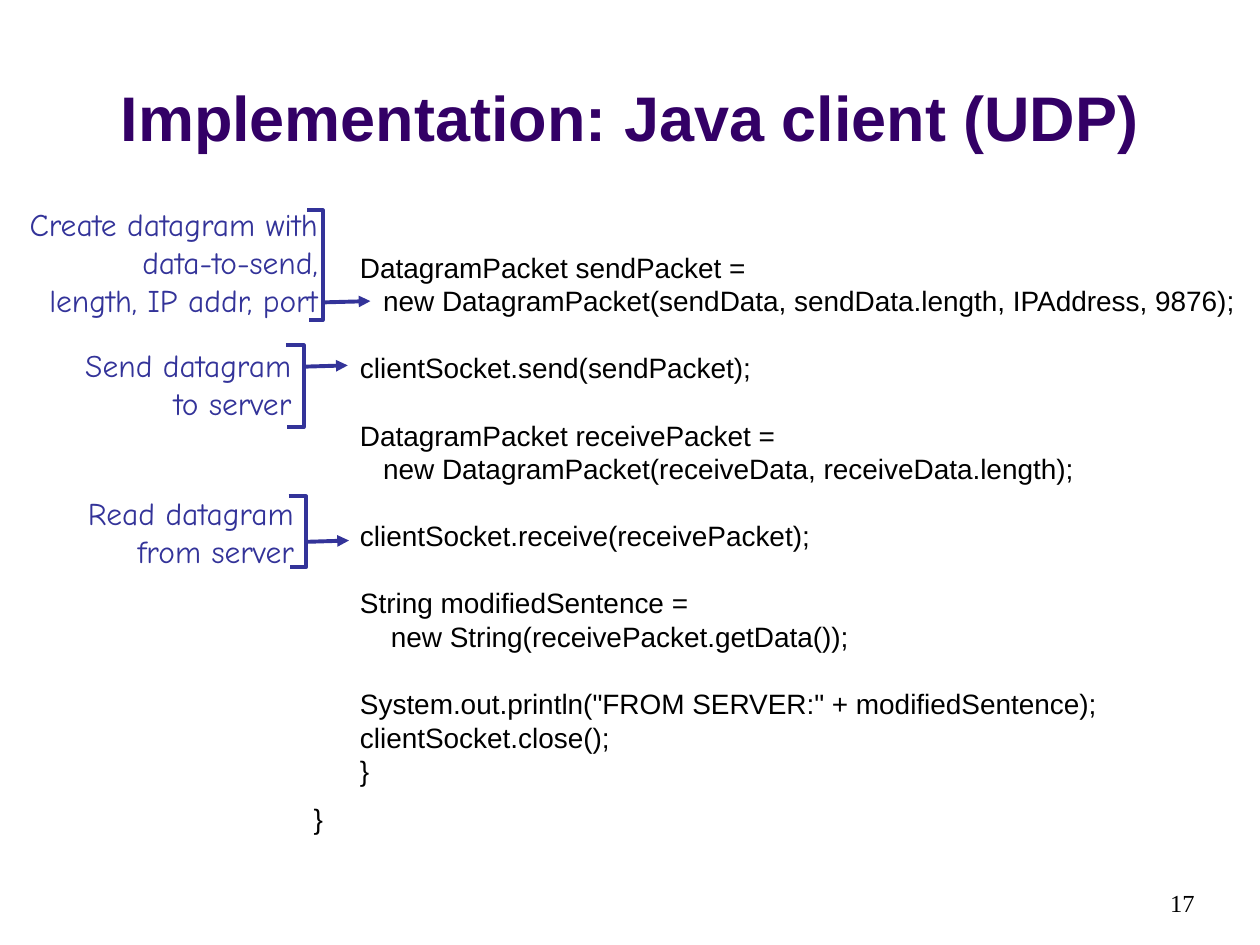
from lxml import etree
from pptx import Presentation, util as u
from pptx.dml.color import RGBColor
from pptx.enum import shapes, text
from pptx.oxml.ns import qn

COLORS = {"title": "330066", "code": "000000", "callout": "333399"}
TITLE = "Implementation: Java client (UDP)"
PAGE_NUMBER = "17"
CODE_BLOCKS = [
    ["      DatagramPacket sendPacket =",
     "         new DatagramPacket(sendData, sendData.length, IPAddress, 9876);"],
    ["      clientSocket.send(sendPacket);"],
    ["      DatagramPacket receivePacket =",
     "         new DatagramPacket(receiveData, receiveData.length);"],
    ["      clientSocket.receive(receivePacket);"],
    ["      String modifiedSentence =",
     "          new String(receivePacket.getData());"],
    ['      System.out.println("FROM SERVER:" + modifiedSentence);',
     "      clientSocket.close();",
     "      }"],
]
CLOSING_BRACE = "}"
CODE_PITCH = 19.2
BRACE_GAP = 7.8
CALLOUTS = [
    {"lines": ["Create datagram with data-to-send,", "length, IP addr, port"],
     "box": (0, 1.58, 2.62, 1.3), "wrap": True,
     "bracket": (2.44, 1.67, 2.56, 2.54), "arrow": (2.56, 2.4, 2.94, 2.39)},
    {"lines": ["Send datagram", "to server"],
     "box": (0.57, 2.7, 1.84, 0.7), "wrap": False,
     "bracket": (2.27, 2.74, 2.41, 3.39), "arrow": (2.42, 2.91, 2.76, 2.9)},
    {"lines": ["Read datagram", "from server"],
     "box": (0.58, 3.87, 1.85, 0.7), "wrap": False,
     "bracket": (2.29, 3.94, 2.43, 4.5), "arrow": (2.44, 4.3, 2.77, 4.29)},
]


def add_text(slide, box, lines, font, size, color, align=text.PP_ALIGN.LEFT,
             anchor=text.MSO_ANCHOR.TOP, bold=False, wrap=True):
    frame = slide.shapes.add_textbox(*map(u.Inches, box)).text_frame
    frame.word_wrap = wrap
    frame.vertical_anchor = anchor
    frame.text = "\n".join(lines)
    for paragraph in frame.paragraphs:
        paragraph.alignment = align
        paragraph.font.name = font
        paragraph.font.size = u.Pt(size)
        paragraph.font.bold = bold
        paragraph.font.color.rgb = RGBColor.from_string(color)
    return frame


def add_code(slide):
    lines = [line for block in CODE_BLOCKS for line in block] + [CLOSING_BRACE]
    frame = add_text(slide, (2.39, 1.92, 7.59, 4.77), lines, "Arial", 16,
                     COLORS["code"], anchor=text.MSO_ANCHOR.MIDDLE, wrap=False)
    paragraphs = frame.paragraphs
    for paragraph in paragraphs:
        paragraph.line_spacing = u.Pt(CODE_PITCH)
    start = 0
    for block in CODE_BLOCKS[:-1]:
        start += len(block)
        paragraphs[start].space_before = u.Pt(CODE_PITCH)
    paragraphs[-1].space_before = u.Pt(BRACE_GAP)


def style_line(shape):
    shape.line.color.rgb = RGBColor.from_string(COLORS["callout"])
    shape.line.width = u.Pt(2.25)


def add_bracket(slide, left, top, right, bottom):
    builder = slide.shapes.build_freeform(u.Inches(left), u.Inches(top))
    corners = [(right, top), (right, bottom), (left + 0.01, bottom)]
    builder.add_line_segments(
        [(u.Inches(x), u.Inches(y)) for x, y in corners], close=False)
    bracket = builder.convert_to_shape()
    bracket.shadow.inherit = False
    bracket.fill.background()
    style_line(bracket)


def add_arrow(slide, ends):
    arrow = slide.shapes.add_connector(
        shapes.MSO_CONNECTOR.STRAIGHT, *map(u.Inches, ends))
    style_line(arrow)
    etree.SubElement(arrow.line._get_or_add_ln(), qn("a:tailEnd"), type="triangle")
    etree.SubElement(arrow._element.spPr, qn("a:effectLst"))


def main():
    presentation = Presentation()
    presentation.slide_width = u.Inches(10)
    presentation.slide_height = u.Inches(7.5)
    slide = presentation.slides.add_slide(presentation.slide_layouts[6])
    add_text(slide, (9.08, 7, 0.5, 0.5), [PAGE_NUMBER], "Times New Roman", 14,
             COLORS["code"], text.PP_ALIGN.RIGHT)
    add_text(slide, (0.5, 0.3, 9, 1.25), [TITLE], "Arial", 36, COLORS["title"],
             text.PP_ALIGN.CENTER, text.MSO_ANCHOR.MIDDLE, bold=True)
    add_code(slide)
    for callout in CALLOUTS:
        add_text(slide, callout["box"], callout["lines"], "Comic Neue", 18,
                 COLORS["callout"], text.PP_ALIGN.RIGHT, wrap=callout["wrap"])
        add_bracket(slide, *callout["bracket"])
        add_arrow(slide, callout["arrow"])
    presentation.save("out.pptx")


if __name__ == "__main__":
    main()
